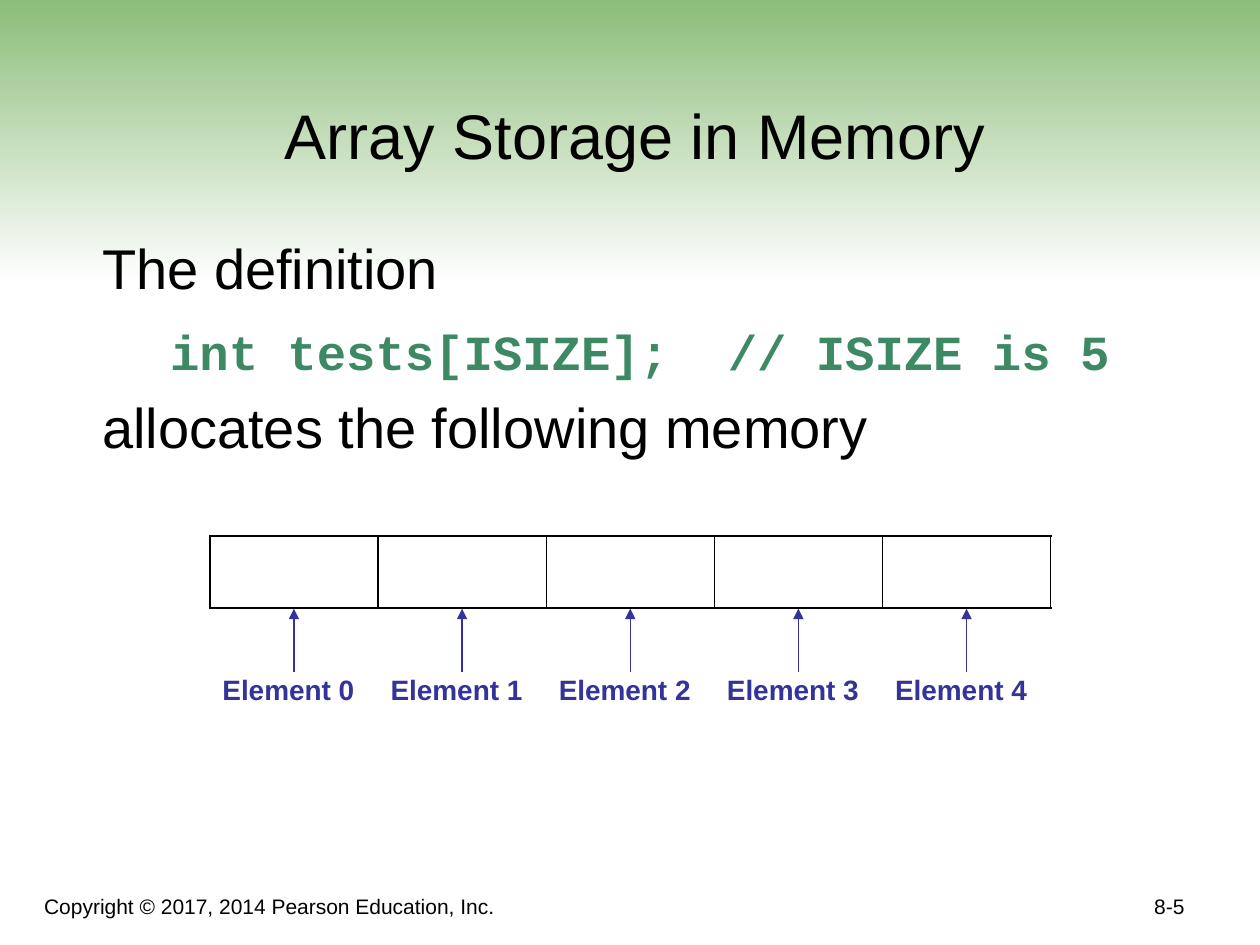
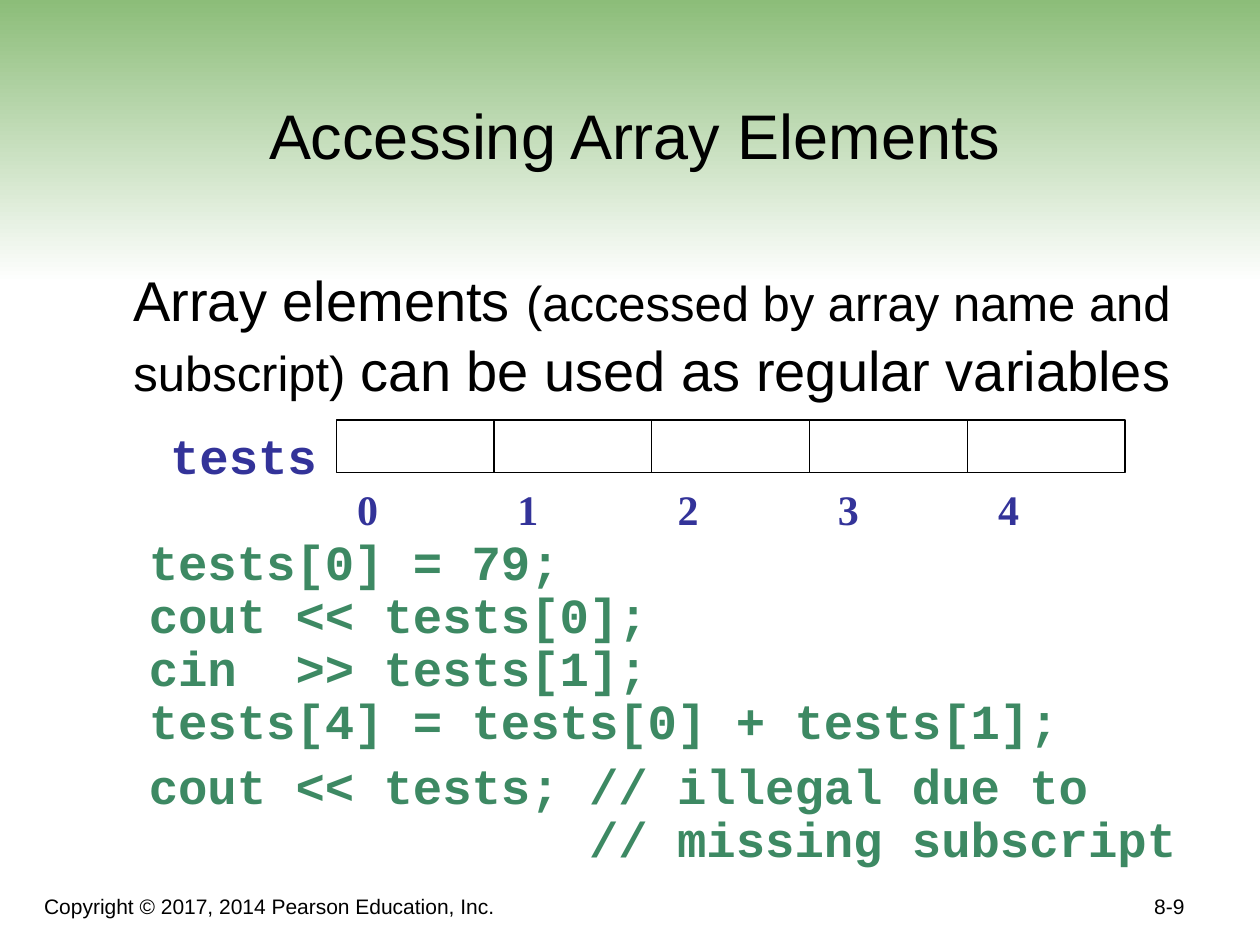
"""Build two lecture slides on how arrays are stored and accessed."""
from dataclasses import dataclass

from lxml.etree import SubElement
from pptx import Presentation
from pptx.dml.color import RGBColor as Rgb
from pptx.enum.shapes import MSO_CONNECTOR as Connector, MSO_SHAPE as Shape
from pptx.enum.text import MSO_ANCHOR as Anchor, PP_ALIGN as Align
from pptx.oxml.ns import qn
from pptx.util import Cm, Pt


@dataclass(frozen=True)
class Style:
    size: float
    color: str
    font: str = "Arial"
    bold: bool = False


class Theme:
    ink, code_green, label_blue = "000000", "3D8963", "333399"
    band_top, band_bottom = "8CBD79", "FFFFFF"
    title = Style(36, ink)
    prose = Style(32, ink)
    aside = Style(28, ink)
    code = Style(28, code_green, "Courier New", True)
    array_name = Style(28, label_blue, "Courier New", True)
    subscript = Style(24, label_blue, "Times New Roman", True)
    element = Style(16, label_blue, bold=True)
    footer = Style(12, ink)
    cell_line, frame_line = 0.75, 1.08
    no_table_style = "{2D5ABB26-0587-4C30-8999-92F81FD0307C}"


COPYRIGHT = "Copyright © 2017, 2014 Pearson Education, Inc."
STORAGE = {
    "title": "Array Storage in Memory",
    "page": "8-5",
    "intro": "The definition",
    "definition": "int tests[ISIZE];  // ISIZE is 5",
    "outcome": "allocates the following memory",
    "elements": [f"Element {index}" for index in range(5)],
}
ACCESS = {
    "title": "Accessing Array Elements",
    "page": "8-9",
    "statement": [
        ("Array elements ", Theme.prose),
        ("(accessed by array name and subscript)", Theme.aside),
        (" can be used as regular variables", Theme.prose),
    ],
    "array": "tests",
    "subscripts": ["0", "1", "2", "3", "4"],
    "code": [
        "tests[0] = 79;",
        "cout << tests[0];",
        "cin  >> tests[1];",
        "tests[4] = tests[0] + tests[1];",
        "cout << tests; // illegal due to",
        "               // missing subscript",
    ],
}


def format_run(run, style):
    font = run.font
    font.name, font.size, font.bold = style.font, Pt(style.size), style.bold
    font.color.rgb = Rgb.from_string(style.color)


def add_text(slide, place, paragraphs, anchor=Anchor.TOP, align=Align.LEFT):
    frame = slide.shapes.add_textbox(*map(Cm, place)).text_frame
    frame.word_wrap, frame.vertical_anchor = True, anchor
    frame.margin_left = frame.margin_right = 0
    frame.margin_top = frame.margin_bottom = 0
    for number, pieces in enumerate(paragraphs):
        paragraph = frame.add_paragraph() if number else frame.paragraphs[0]
        paragraph.alignment = align
        for words, style in pieces:
            run = paragraph.add_run()
            run.text = words
            format_run(run, style)
    return frame.paragraphs


def start_slide(deck, content):
    slide = deck.slides.add_slide(deck.slide_layouts[6])
    band = slide.shapes.add_shape(Shape.RECTANGLE, 0, 0, deck.slide_width, Cm(5.72))
    band.shadow.inherit = False
    band.line.fill.background()
    band.fill.gradient()
    band.fill.gradient_angle = 270
    for stop, color in zip(band.fill.gradient_stops, (Theme.band_top, Theme.band_bottom)):
        stop.color.rgb = Rgb.from_string(color)
    add_text(slide, (0.84, 0.84, 23.92, 2.64), [[(content["title"], Theme.title)]],
             Anchor.BOTTOM, Align.CENTER)
    add_text(slide, (0.89, 17.8, 16, 0.72), [[(COPYRIGHT, Theme.footer)]], Anchor.BOTTOM)
    add_text(slide, (19.1, 17.8, 4.78, 0.72), [[(content["page"], Theme.footer)]],
             Anchor.BOTTOM, Align.RIGHT)
    return slide


def add_row(slide, left, top, cell_width, height, count):
    holder = slide.shapes.add_table(1, count, Cm(left), Cm(top),
                                    Cm(cell_width * count), Cm(height))
    row = holder.table
    row.first_row = row.horz_banding = False
    row._tbl.tblPr.find(qn("a:tableStyleId")).text = Theme.no_table_style
    for column in row.columns:
        column.width = Cm(cell_width)
    return [row.cell(0, index) for index in range(count)]


def add_borders(cell, widths):
    properties = cell._tc.get_or_add_tcPr()
    for side, width in zip("LRTB", widths):
        line = SubElement(properties, qn(f"a:ln{side}"), w=str(Pt(width)))
        fill = SubElement(line, qn("a:solidFill"))
        SubElement(fill, qn("a:srgbClr"), val=Theme.ink)


def add_arrow(slide, x, start, end):
    arrow = slide.shapes.add_connector(Connector.STRAIGHT, Cm(x), Cm(start), Cm(x), Cm(end))
    arrow.line.color.rgb = Rgb.from_string(Theme.label_blue)
    arrow.line.width = Pt(Theme.cell_line)
    SubElement(arrow.line._get_or_add_ln(), qn("a:tailEnd"), type="triangle")
    SubElement(arrow._element.spPr, qn("a:effectLst"))


def build_storage(deck):
    slide = start_slide(deck, STORAGE)
    _, definition, outcome = add_text(slide, (2.06, 4.7, 22, 4.8), [
        [(STORAGE["intro"], Theme.prose)],
        [(STORAGE["definition"], Theme.code)],
        [(STORAGE["outcome"], Theme.prose)],
    ])
    definition.space_before, outcome.space_before = Pt(12), Pt(7)
    definition._p.get_or_add_pPr().set("marL", str(Cm(1.37)))

    left, cell_width, elements = 4.23, 3.39, STORAGE["elements"]
    memory = add_row(slide, left, 10.8, cell_width, 1.45, len(elements))
    for cell in memory:
        thin, thick = Theme.cell_line, Theme.frame_line
        add_borders(cell, (thick if cell is memory[0] else thin,
                           thick if cell is memory[-1] else thin, thick, thick))
        cell.fill.background()
    labels = add_row(slide, left, 13.55, cell_width, 2.34, len(elements))
    for index, (cell, element) in enumerate(zip(labels, elements)):
        cell.fill.background()
        paragraph = cell.text_frame.paragraphs[0]
        paragraph.text, paragraph.line_spacing = element, 0.9
        format_run(paragraph.runs[0], Theme.element)
        add_arrow(slide, left + (index + 0.5) * cell_width, 13.55, 12.27)


def build_access(deck):
    slide = start_slide(deck, ACCESS)
    statement, = add_text(slide, (2.69, 5.3, 21.6, 2.8), [ACCESS["statement"]])
    statement.line_spacing = 1.04
    code = add_text(slide, (3, 10.85, 21.5, 6.4),
                    [[(line, Theme.code)] for line in ACCESS["code"]])
    for paragraph in code:
        paragraph.line_spacing = 0.9
    code[4].space_before = Pt(7)

    add_text(slide, (3.43, 8.57, 3.3, 1.1), [[(ACCESS["array"], Theme.array_name)]])
    for index in range(len(ACCESS["subscripts"])):
        box = slide.shapes.add_shape(Shape.RECTANGLE, Cm(6.78 + index * 3.18), Cm(8.47),
                                     Cm(3.18), Cm(1.06))
        box.shadow.inherit = False
        box.fill.background()
        box.line.color.rgb = Rgb.from_string(Theme.ink)
        box.line.width = Pt(Theme.cell_line)
    subscripts, = add_text(slide, (7.2, 9.75, 15, 1),
                           [[("\t".join(ACCESS["subscripts"]), Theme.subscript)]])
    stops = SubElement(subscripts._p.get_or_add_pPr(), qn("a:tabLst"))
    for index in range(1, len(ACCESS["subscripts"])):
        SubElement(stops, qn("a:tab"), pos=str(Cm(3.23 * index)), algn="l")


def main():
    deck = Presentation()
    deck.slide_width, deck.slide_height = Cm(25.4), Cm(19.05)
    build_storage(deck)
    build_access(deck)
    deck.save("out.pptx")


if __name__ == "__main__":
    main()
